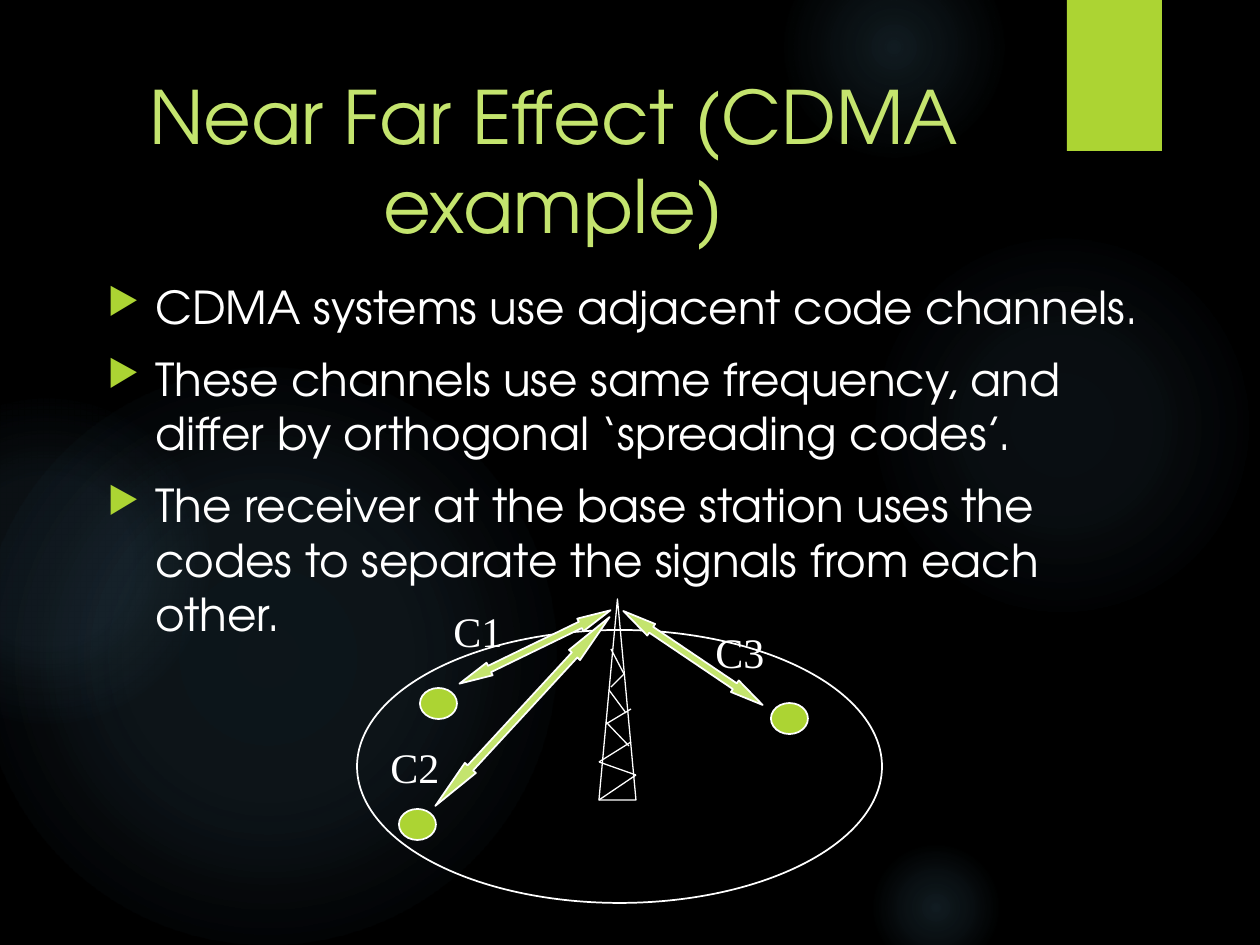
from lxml import etree
from pptx import Presentation
from pptx import util as u
from pptx.dml.color import RGBColor
from pptx.enum import shapes, text
from pptx.oxml.ns import qn

PX = 914400 / 126
SANS, SERIF = "TeX Gyre Adventor", "Times New Roman"
WHITE, GREEN, LIME, GLOW = "FFFFFF", "ACD433", "C4E46E", "7AC4F0"

TITLE = "Near Far Effect (CDMA example)"
POINTS = [
    "CDMA systems use adjacent code channels.",
    "These channels use same frequency, and differ by orthogonal ‘spreading codes’.",
    "The receiver at the base station uses the codes to separate the signals from each other.",
]
CODES = [("C1", 441, 599), ("C2", 378, 735), ("C3", 703, 620)]
PHONES = [(399, 809), (420, 688), (771, 703)]
SIGNALS = [
    ((609, 651, 168, 14), 34, 2.4),
    ((451, 640, 168, 14), 334.1, 2.4),
    ((394, 704, 257, 15), 312.7, 3.45),
]
BRACES = [
    (599, 800, 636, 775), (636, 775, 599, 762),
    (599, 762, 631, 742), (629, 746, 606, 722),
    (606, 724, 631, 709), (626, 713, 609, 690),
    (611, 687, 624, 674), (624, 674, 611, 649),
]
GLOWS = [
    (868, 231, 388, [(0, 7), (36, 6), (69, 0)]),
    (784, -63, 220, [(0, 14), (36, 7), (73, 0)]),
    (868, 840, 136, [(0, 14), (36, 7), (66, 0)]),
    (-21, 368, 577, [(0, 11), (36, 10), (75, 0)]),
    (-116, 399, 325, [(0, 8), (36, 8), (72, 0)]),
]


def emu(*lengths):
    return [round(length * PX) for length in lengths]


def rgb(value):
    return RGBColor.from_string(value)


def child(parent, tag, **attributes):
    return etree.SubElement(parent, qn(tag), {k: str(v) for k, v in attributes.items()})


def draw(kind, box, fill=None, line=None, weight=1):
    shape = slide.shapes.add_shape(kind, *emu(*box))
    shape.shadow.inherit = False
    if fill:
        shape.fill.solid()
        shape.fill.fore_color.rgb = rgb(fill)
    else:
        shape.fill.background()
    if line:
        shape.line.color.rgb = rgb(line)
        shape.line.width = u.Pt(weight)
    else:
        shape.line.fill.background()
    return shape


def draw_glow(left, top, size, stops):
    glow = draw(OVAL, (left, top, size, size))
    old_fill = glow._element.spPr.find(qn("a:noFill"))
    gradient = etree.Element(qn("a:gradFill"), rotWithShape="1")
    stop_list = child(gradient, "a:gsLst")
    for position, opacity in stops:
        stop = child(stop_list, "a:gs", pos=position * 1000)
        color = child(stop, "a:srgbClr", val=GLOW)
        child(color, "a:alpha", val=opacity * 1000)
    path = child(gradient, "a:path", path="circle")
    child(path, "a:fillToRect", l=50000, t=50000, r=50000, b=50000)
    old_fill.getparent().replace(old_fill, gradient)


def draw_brace(ends):
    brace = slide.shapes.add_connector(shapes.MSO_CONNECTOR.STRAIGHT, *emu(*ends))
    brace.line.color.rgb = rgb(WHITE)
    brace.line.width = u.Pt(0.75)
    child(brace._element.spPr, "a:effectLst")


def write(box, lines, size, font, color, anchor=text.MSO_ANCHOR.TOP):
    frame = slide.shapes.add_textbox(*emu(*box)).text_frame
    frame.word_wrap = True
    frame.vertical_anchor = anchor
    frame.text = "\n".join(lines)
    for paragraph in frame.paragraphs:
        for run in paragraph.runs:
            run.font.size = u.Pt(size)
            run.font.name = font
            run.font.color.rgb = rgb(color)
    return frame.paragraphs


def add_bullet(paragraph):
    properties = paragraph._p.get_or_add_pPr()
    indent = emu(48)[0]
    properties.set("marL", str(indent))
    properties.set("indent", str(-indent))
    child(child(properties, "a:buClr"), "a:srgbClr", val=GREEN)
    child(properties, "a:buSzPct", val=80000)
    child(properties, "a:buChar", char="▶")


KIND = shapes.MSO_SHAPE
OVAL = KIND.OVAL

deck = Presentation()
deck.slide_width, deck.slide_height = emu(1260, 945)
slide = deck.slides.add_slide(deck.slide_layouts[6])
slide.background.fill.solid()
slide.background.fill.fore_color.rgb = rgb("000000")

for glow in GLOWS:
    draw_glow(*glow)
draw(KIND.RECTANGLE, (1067, 0, 95, 151), GREEN)

heading = write((67, 63, 973, 193), [TITLE], 42, SANS, LIME, text.MSO_ANCHOR.MIDDLE)
heading[0].alignment = text.PP_ALIGN.CENTER
points = write((95, 273, 1071, 325), POINTS, 25.9, SANS, WHITE)
for point in points:
    add_bullet(point)
for point in points[1:]:
    point.space_before = u.Pt(10)

draw(OVAL, (357, 630, 525, 273), line=WHITE)
draw(KIND.ISOSCELES_TRIANGLE, (599, 599, 37, 201), line=WHITE, weight=0.75)
for ends in BRACES:
    draw_brace(ends)
for left, top in PHONES:
    draw(OVAL, (left, top, 37, 31), GREEN, WHITE)
for box, angle, head in SIGNALS:
    signal = draw(KIND.LEFT_RIGHT_ARROW, box, LIME, WHITE)
    signal.rotation = angle
    signal.adjustments[0] = 0.5
    signal.adjustments[1] = head
for code, left, top in CODES:
    write((left, top, 96, 63), [code], 24, SERIF, WHITE)

deck.save("out.pptx")
